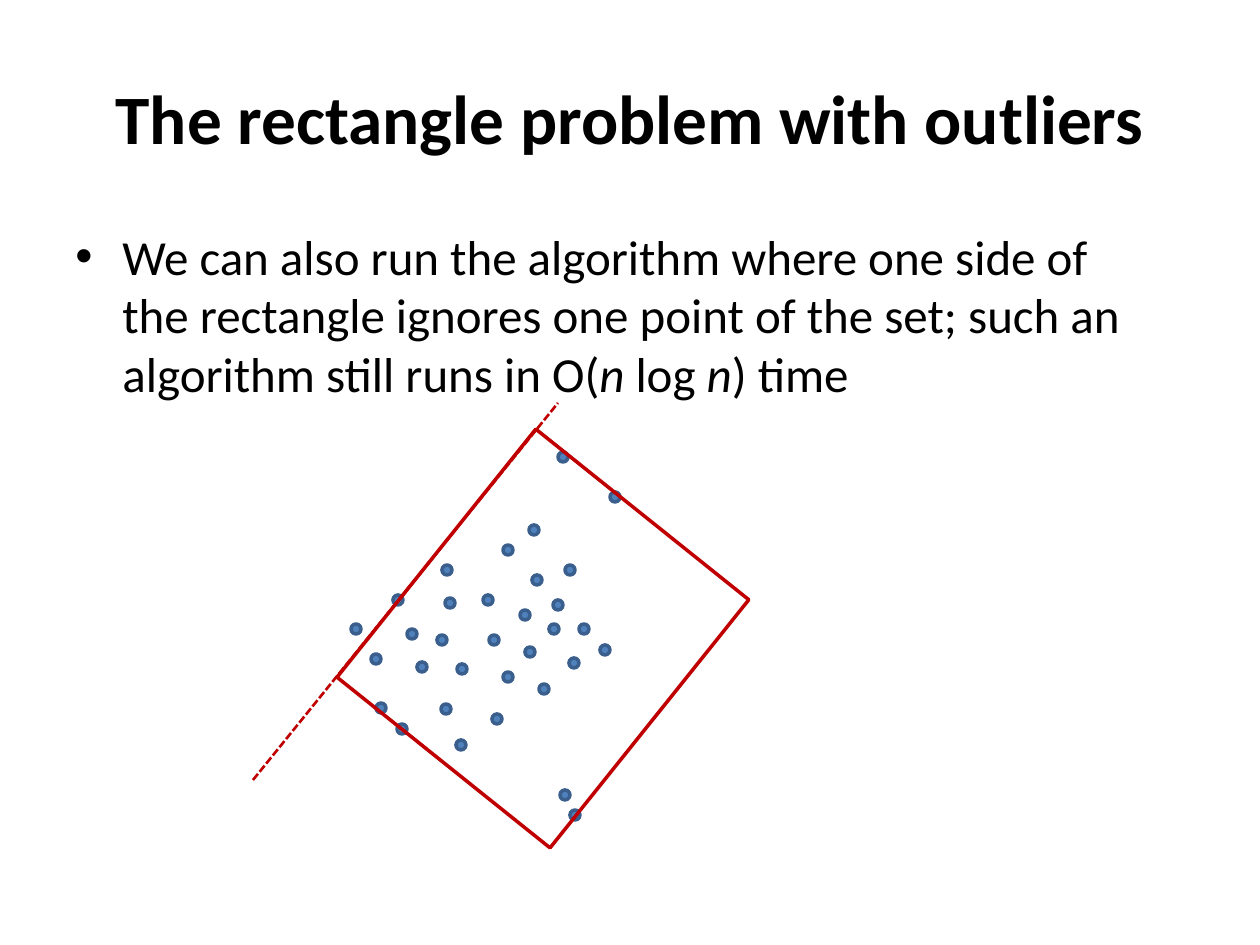
from lxml import etree
from pptx import Presentation
from pptx.dml.color import RGBColor
from pptx.enum.dml import MSO_LINE
from pptx.enum.shapes import MSO_CONNECTOR, MSO_SHAPE
from pptx.enum.text import MSO_ANCHOR, PP_ALIGN
from pptx.oxml.ns import qn
from pptx.util import Emu, Pt

EMU_PER_PX = 914400 / 126
OVAL, RECT = MSO_SHAPE.OVAL, MSO_SHAPE.RECTANGLE
STRAIGHT, DASH = MSO_CONNECTOR.STRAIGHT, MSO_LINE.SQUARE_DOT
TOP, MIDDLE = MSO_ANCHOR.TOP, MSO_ANCHOR.MIDDLE
LEFT, CENTER = PP_ALIGN.LEFT, PP_ALIGN.CENTER

FONT = "Calibri"
COLORS = {"text": "000000", "dot": "4F81BD", "dot_edge": "3A5F8C", "box": "C00000"}
DOT_SIZE = 10

# Centres of the points
POINTS = [
    (356, 629), (398, 600), (508, 550), (447, 570), (376, 659), (381, 708),
    (412, 634), (402, 729), (422, 667), (442, 640), (488, 600), (534, 530),
    (537, 580), (462, 669), (446, 709), (450, 603), (497, 719), (461, 745),
    (508, 677), (525, 615), (530, 652), (544, 689), (570, 570), (558, 605),
    (554, 629), (574, 663), (584, 629), (494, 640), (605, 650), (575, 815),
    (565, 795), (615, 497), (563, 457),
]


def px(*lengths):
    return [Emu(round(n * EMU_PER_PX)) for n in lengths]


def color(name):
    return RGBColor.from_string(COLORS[name])


class Canvas:
    def __init__(self, slide):
        self.shapes = slide.shapes

    def text(self, box, runs, size, bold=False, align=LEFT, anchor=TOP, bullet_indent=0):
        """Add one paragraph of (text, italic) runs, bulleted if indented."""
        tf = self.shapes.add_textbox(*px(*box)).text_frame
        tf.word_wrap = True
        tf.vertical_anchor = anchor
        p = tf.paragraphs[0]
        p.alignment = align
        if bullet_indent:
            indent, = px(bullet_indent)
            pPr = p._p.get_or_add_pPr()
            pPr.set("marL", str(indent))
            pPr.set("indent", str(-indent))
            etree.SubElement(pPr, qn("a:buFont")).set("typeface", "Arial")
            etree.SubElement(pPr, qn("a:buChar")).set("char", "•")
        for words, italic in runs:
            r = p.add_run()
            r.text = words
            r.font.name = FONT
            r.font.size = Pt(size)
            r.font.bold = bold
            r.font.italic = italic
            r.font.color.rgb = color("text")

    def shape(self, kind, box, edge, fill=None, rotation=0):
        sp = self.shapes.add_shape(kind, *px(*box))
        sp.shadow.inherit = False
        sp.rotation = rotation
        if fill:
            sp.fill.solid()
            sp.fill.fore_color.rgb = color(fill)
        else:
            sp.fill.background()
        sp.line.color.rgb = color(edge)
        sp.line.width = Pt(2)

    def dot(self, x, y):
        half = DOT_SIZE // 2
        self.shape(OVAL, (x - half, y - half, DOT_SIZE, DOT_SIZE), "dot_edge", "dot")

    def dashed_line(self, start, end):
        line = self.shapes.add_connector(STRAIGHT, *px(*start, *end))
        line.line.color.rgb = color("box")
        line.line.width = Pt(1.5)
        line.line.dash_style = DASH
        etree.SubElement(line._element.spPr, qn("a:effectLst"))


def main():
    prs = Presentation()
    prs.slide_width, prs.slide_height = px(1260, 945)
    s = Canvas(prs.slides.add_slide(prs.slide_layouts[6]))

    s.text((63, 38, 1134, 158), [("The rectangle problem with outliers", False)],
           39.6, bold=True, align=CENTER, anchor=MIDDLE)
    s.text((63, 220, 1113, 242), [
        ("We can also run the algorithm where one side of the rectangle ignores "
         "one point of the set; such an algorithm still runs in O(", False),
        ("n", True), (" log ", False), ("n", True), (") time", False),
    ], 28, bullet_indent=47)

    for x, y in POINTS:
        s.dot(x, y)
    s.shape(RECT, (384, 502, 318, 273), "box", rotation=308.7)
    s.dashed_line((253, 780), (558, 403))
    prs.save("out.pptx")


if __name__ == "__main__":
    main()
